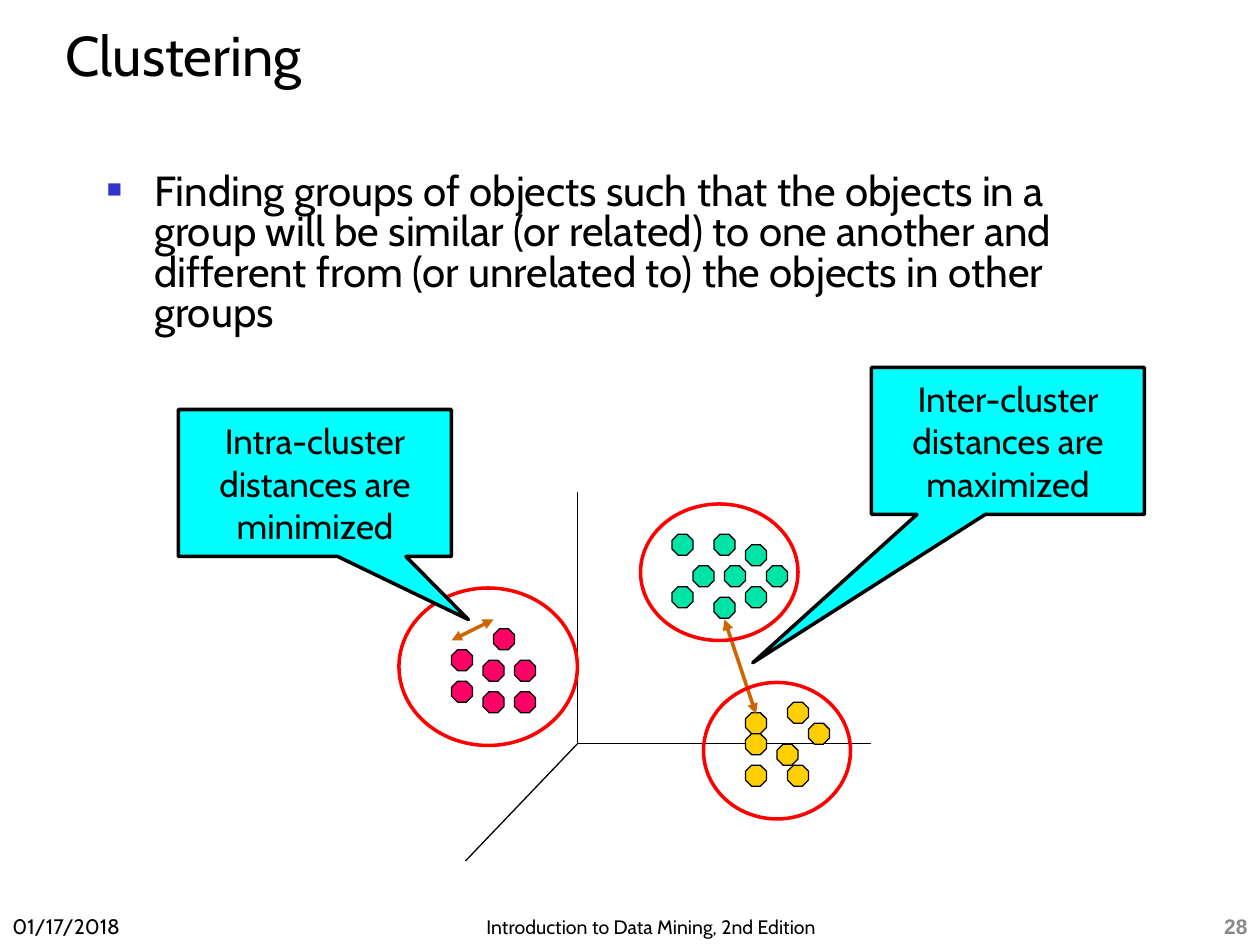
from lxml.etree import SubElement
from pptx import Presentation
from pptx.dml.color import RGBColor
from pptx.enum.shapes import MSO_CONNECTOR, MSO_SHAPE
from pptx.enum.text import MSO_ANCHOR, PP_ALIGN
from pptx.oxml.ns import qn
from pptx.util import Pt

GRID = 6
GREEN = [(66, 54), (69, 54), (68, 51), (68, 57), (73, 54), (71, 52),
         (64, 51), (71, 56), (64, 56)]
PINK = [(43, 62), (46, 63), (46, 66), (49, 63), (47, 60), (49, 66), (43, 65)]
GOLD = [(71, 68), (77, 69), (74, 71), (71, 73), (75, 73), (71, 70), (75, 67)]


def paint(target, code):
    target.rgb = RGBColor.from_string(code)


def points(*values):
    return [Pt(value) for value in values]


def write(shape, text, size, align=PP_ALIGN.LEFT, anchor=MSO_ANCHOR.BOTTOM,
          space=None, face="Cabin", color="000000", bold=False):
    frame = shape.text_frame
    frame.text = text
    frame.word_wrap = True
    frame.vertical_anchor = anchor
    para = frame.paragraphs[0]
    para.alignment = align
    if space:
        para.line_spacing = space
    font = para.runs[0].font
    font.name = face
    font.size = Pt(size)
    font.bold = bold
    paint(font.color, color)
    return para


def label(slide, box, text, size, **style):
    shape = slide.shapes.add_textbox(*points(*box))
    return write(shape, text, size, **style)


def bullet(para, indent, mark, color, scale):
    props = para._p.get_or_add_pPr()
    props.set("marL", str(Pt(indent)))
    props.set("indent", str(-Pt(indent)))
    tint = SubElement(props, qn("a:buClr"))
    SubElement(tint, qn("a:srgbClr"), val=color)
    SubElement(props, qn("a:buSzPct"), val=str(scale * 1000))
    SubElement(props, qn("a:buFont"), typeface="Arial")
    SubElement(props, qn("a:buChar"), char=mark)


def figure(slide, kind, box, fill=None, edge="000000", width=2):
    shape = slide.shapes.add_shape(kind, *points(*box))
    shape.shadow.inherit = False
    if fill:
        shape.fill.solid()
        paint(shape.fill.fore_color, fill)
    else:
        shape.fill.background()
    paint(shape.line.color, edge)
    shape.line.width = Pt(width)
    return shape


def line(slide, ends, color="000000", width=0.75, arrows=False):
    link = slide.shapes.add_connector(MSO_CONNECTOR.STRAIGHT, *points(*ends))
    paint(link.line.color, color)
    link.line.width = Pt(width)
    if arrows:
        stroke = link.line._get_or_add_ln()
        for end in ("a:headEnd", "a:tailEnd"):
            SubElement(stroke, qn(end), type="triangle")
    SubElement(link._element.spPr, qn("a:effectLst"))


def cluster(slide, cells, color):
    for col, row in cells:
        box = (col * GRID, row * GRID - 0.75, 12, 12)
        figure(slide, MSO_SHAPE.OCTAGON, box, color, width=0.75)


def callout(slide, left, top, tip, text):
    shape = figure(slide, MSO_SHAPE.RECTANGULAR_CALLOUT,
                   (left, top, 156, 84), "00FFFF")
    shape.adjustments[0], shape.adjustments[1] = tip
    write(shape, text, 20, PP_ALIGN.CENTER, MSO_ANCHOR.MIDDLE)


def main():
    deck = Presentation()
    deck.slide_width, deck.slide_height = points(720, 540)
    slide = deck.slides.add_slide(deck.slide_layouts[5])

    title = slide.shapes.title
    title.left, title.top, title.width, title.height = points(30, 12, 652, 42)
    write(title, "Clustering", 32, space=Pt(36))

    body = label(slide, (54, 96, 612, 174),
                 "Finding groups of objects such that the objects in a group "
                 "will be similar (or related) to one another and different "
                 "from (or unrelated to) the objects in other groups",
                 24, anchor=MSO_ANCHOR.TOP, space=0.8)
    bullet(body, 27, "■", "3333CC", 60)

    for end in ((330, 281), (498, 425), (266, 492)):
        line(slide, (330, 425, *end))

    cluster(slide, GREEN, "00E4A8")
    cluster(slide, PINK, "FF0066")
    cluster(slide, GOLD, "FFCF01")

    line(slide, (432, 408, 414, 354), "CC6600", 2, True)
    callout(slide, 498, 210, (-0.935, 1.509),
            "Inter-cluster distances are maximized")
    for ring in ((228, 336, 102, 90), (366, 288, 90, 78), (402, 390, 84, 78)):
        figure(slide, MSO_SHAPE.OVAL, ring, edge="FF0000")
    line(slide, (258, 366, 282, 354), "CC6600", 2, True)
    callout(slide, 102, 234, (0.562, 0.929),
            "Intra-cluster distances are minimized")

    label(slide, (570, 504, 150, 36), "28", 12, align=PP_ALIGN.RIGHT,
          face="Arial", color="898989", bold=True)
    label(slide, (258, 510, 228, 30),
          "Introduction to Data Mining, 2nd Edition", 11.1,
          align=PP_ALIGN.CENTER, space=0.9)
    label(slide, (0, 504, 150, 36), "01/17/2018", 12)

    deck.save("out.pptx")


if __name__ == "__main__":
    main()
